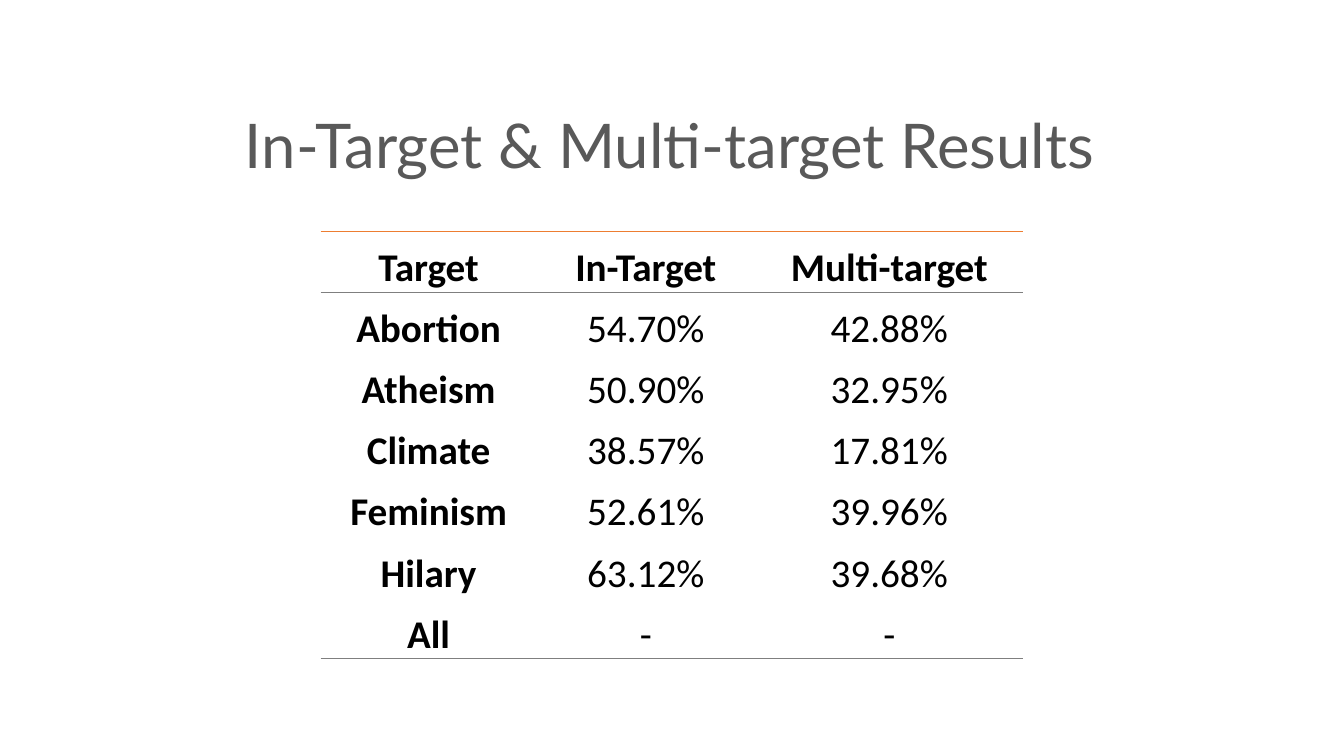
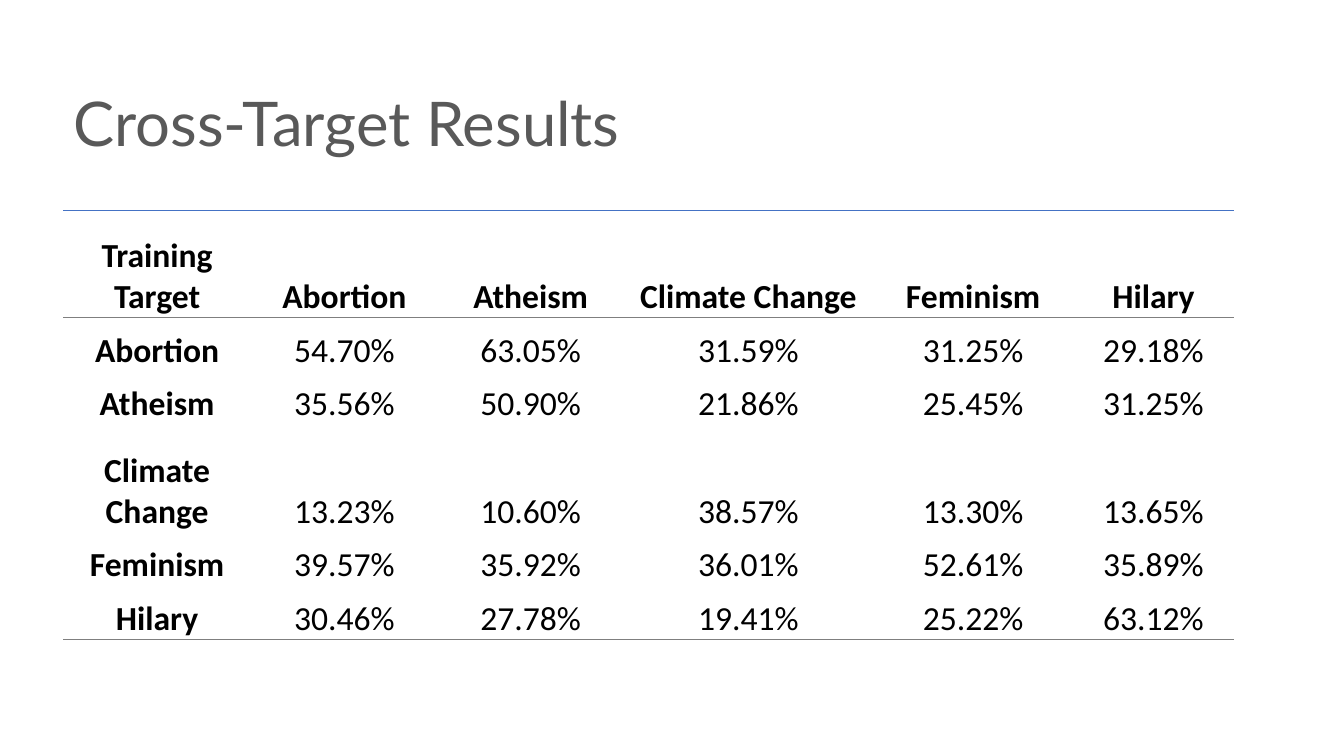
from lxml import etree
from pptx import Presentation
from pptx import util as u
from pptx.dml.color import RGBColor
from pptx.enum import text
from pptx.oxml.ns import qn

COLORS = {"title": "595959", "body": "000000", "rule": "7F7F7F",
          "orange": "ED7D31", "blue": "4472C4"}
TITLE_FONT, BODY_FONT = "Lato", "Calibri"
NO_STYLE = "{2D5ABB26-0587-4C30-8999-92F81FD0307C}"
CENTER, LEFT = text.PP_ALIGN.CENTER, text.PP_ALIGN.LEFT


def add_run(p, words, font, size, color, bold=False):
    """Add one formatted run to a paragraph."""
    r = p.add_run()
    r.text = words
    r.font.name, r.font.size, r.font.bold = font, u.Pt(size), bold
    r.font.color.rgb = RGBColor.from_string(COLORS[color])


def add_border(cell, side, color, width):
    """Draw one edge of a cell; the bottom edge must be added before the top."""
    ln = etree.Element(qn("a:" + side), w=str(u.Pt(width)))
    fill = etree.SubElement(ln, qn("a:solidFill"))
    etree.SubElement(fill, qn("a:srgbClr"), val=COLORS[color])
    cell._tc.get_or_add_tcPr().insert(0, ln)


slides = [
    {"title": "In-Target & Multi-target Results", "title_at": (3.28, 1.63),
     "align": CENTER, "table_at": (8.08, 5.82), "accent": "orange", "top_width": 0.75,
     "size": 28, "cols": [5.44, 5.51, 6.76], "row_heights": [1.54] * 7,
     "rows": [
         ["Target", "In-Target", "Multi-target"],
         ["Abortion", "54.70%", "42.88%"],
         ["Atheism", "50.90%", "32.95%"],
         ["Climate", "38.57%", "17.81%"],
         ["Feminism", "52.61%", "39.96%"],
         ["Hilary", "63.12%", "39.68%"],
         ["All", "-", "-"]]},
    {"title": "Cross-Target Results", "title_at": (1.6, 1.07),
     "align": LEFT, "table_at": (1.6, 5.31), "accent": "blue", "top_width": 1,
     "size": 24, "cols": [4.72, 4.72, 4.67, 6.3, 5.03, 4.06],
     "row_heights": [2.7, 1.35, 1.35, 2.7, 1.35, 1.35],
     "rows": [
         ["Training Target", "Abortion", "Atheism", "Climate Change", "Feminism", "Hilary"],
         ["Abortion", "54.70%", "63.05%", "31.59%", "31.25%", "29.18%"],
         ["Atheism", "35.56%", "50.90%", "21.86%", "25.45%", "31.25%"],
         ["Climate Change", "13.23%", "10.60%", "38.57%", "13.30%", "13.65%"],
         ["Feminism", "39.57%", "35.92%", "36.01%", "52.61%", "35.89%"],
         ["Hilary", "30.46%", "27.78%", "19.41%", "25.22%", "63.12%"]]},
]

prs = Presentation()
prs.slide_width, prs.slide_height = u.Cm(33.87), u.Cm(19.05)

for page in slides:
    s = prs.slides.add_slide(prs.slide_layouts[6])

    left, top = page["title_at"]
    tf = s.shapes.add_textbox(u.Cm(left), u.Cm(top), u.Cm(27.2), u.Cm(4.24)).text_frame
    tf.word_wrap = True
    tf.vertical_anchor = text.MSO_ANCHOR.MIDDLE
    p = tf.paragraphs[0]
    p.alignment, p.line_spacing = page["align"], 0.9
    add_run(p, page["title"], TITLE_FONT, 44, "title")

    rows, cols, heights = page["rows"], page["cols"], page["row_heights"]
    left, top = page["table_at"]
    frame = s.shapes.add_table(len(rows), len(cols), u.Cm(left), u.Cm(top),
                               u.Cm(sum(cols)), u.Cm(sum(heights)))
    table = frame.table
    table.first_row = table.horz_banding = False
    table._tbl.tblPr.find(qn("a:tableStyleId")).text = NO_STYLE
    for column, width in zip(table.columns, cols):
        column.width = u.Cm(width)
    for row, height in zip(table.rows, heights):
        row.height = u.Cm(height)

    for i, values in enumerate(rows):
        for j, value in enumerate(values):
            cell = table.cell(i, j)
            cell.fill.background()
            cell.vertical_anchor = text.MSO_ANCHOR.BOTTOM
            cell.margin_left = cell.margin_right = cell.margin_top = u.Cm(0.03)
            cell.margin_bottom = 0
            p = cell.text_frame.paragraphs[0]
            p.alignment = CENTER
            add_run(p, value, BODY_FONT, page["size"], "body", bold=i == 0 or j == 0)
            if i in (0, len(rows) - 1):
                add_border(cell, "lnB", "rule", 0.75)
            if i == 0:
                add_border(cell, "lnT", page["accent"], page["top_width"])

prs.save("out.pptx")
